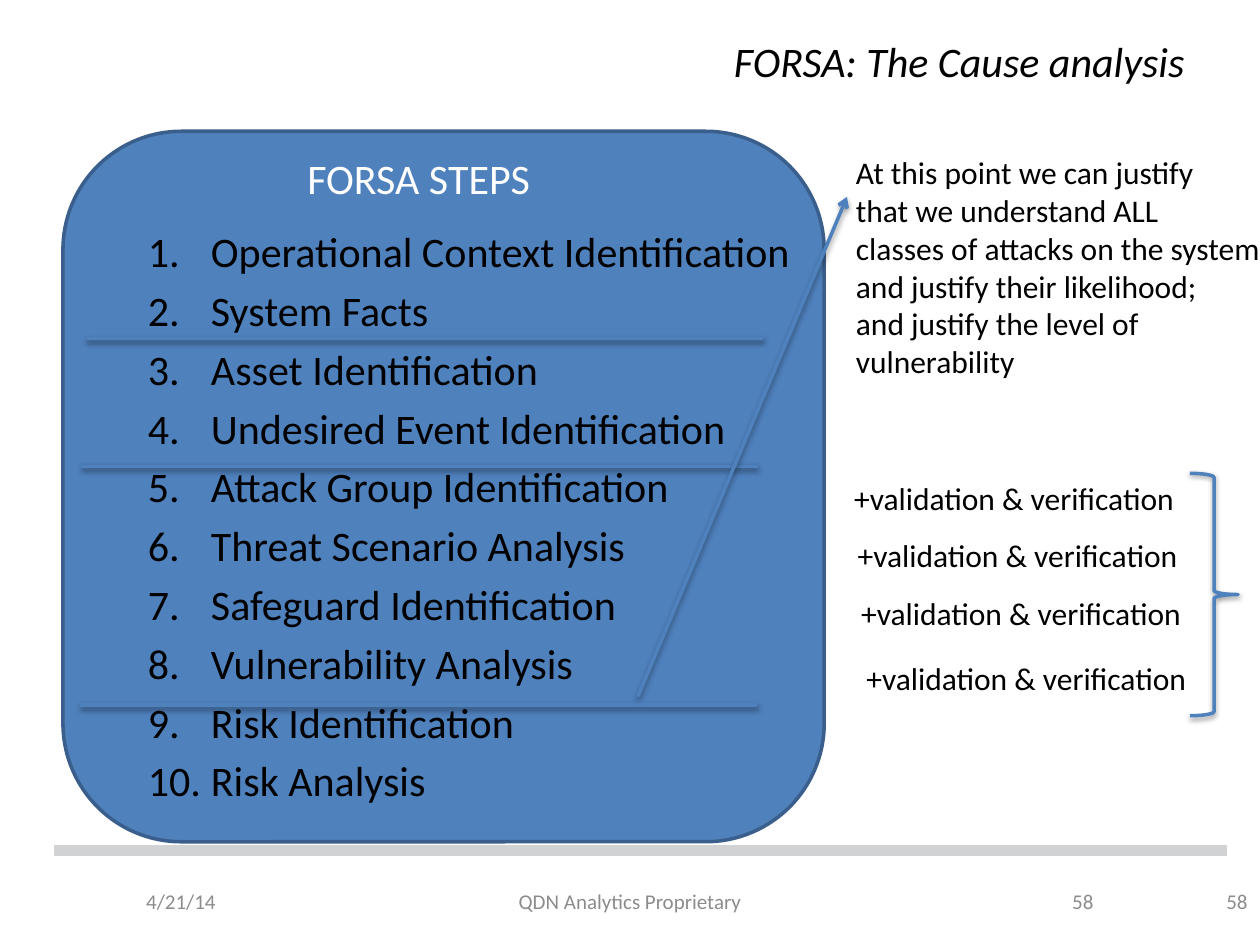
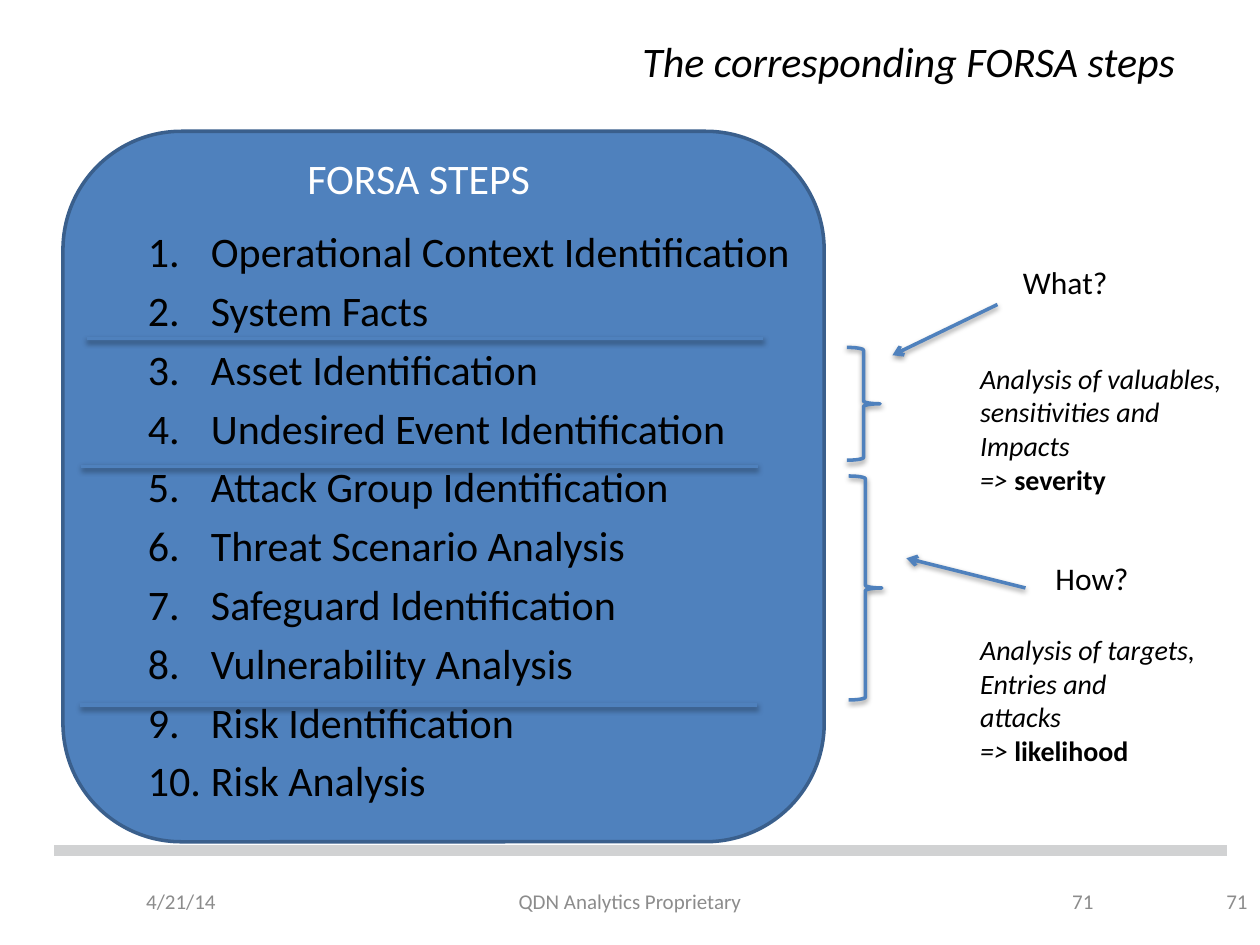
from dataclasses import dataclass

from lxml.etree import SubElement
from pptx import Presentation
from pptx.dml.color import RGBColor
from pptx.enum.shapes import MSO_CONNECTOR, MSO_SHAPE
from pptx.enum.text import MSO_ANCHOR, MSO_AUTO_SIZE, PP_ALIGN
from pptx.oxml.ns import qn
from pptx.util import Pt


@dataclass(frozen=True)
class Theme:
    font: str = "Calibri"
    black: str = "000000"
    white: str = "FFFFFF"
    blue: str = "4F81BD"
    dark_blue: str = "3A5F8C"
    grey: str = "8C8C8C"
    band: str = "D1D2D3"
    heading_size: int = 24
    label_size: int = 18
    detail_size: int = 16
    footer_size: int = 12
    stroke: int = 2
    band_stroke: int = 6


THEME = Theme()
STEPS = [
    "Operational Context Identification",
    "System Facts",
    "Asset Identification",
    "Undesired Event Identification",
    "Attack Group Identification",
    "Threat Scenario Analysis",
    "Safeguard Identification",
    "Vulnerability Analysis",
    "Risk Identification",
    "Risk Analysis",
]
STEP_GAP = 4.8
PHASE_DIVIDERS = [(49.5, 193.5), (46.5, 266.5), (46, 403)]
DIVIDER_LENGTH = 386.5
JUSTIFICATION = [
    "At this point we can justify",
    "that we understand ALL",
    "classes of attacks on the system",
    "and justify their likelihood;",
    "and justify the level of",
    "vulnerability",
]
VALIDATION_PLACES = [(481, 270), (483, 303), (485, 336), (488, 373)]


def points(values):
    return [Pt(value) for value in values]


def color(code):
    return RGBColor.from_string(code)


def number_paragraph(paragraph):
    paragraph.space_before = Pt(STEP_GAP)
    properties = paragraph._p.get_or_add_pPr()
    properties.set("marL", str(Pt(36)))
    properties.set("indent", str(Pt(-36)))
    SubElement(properties, qn("a:buFont"), typeface="+mj-lt")
    SubElement(properties, qn("a:buAutoNum"), type="arabicPeriod")


def format_run(run, size, ink, bold, italic):
    run.font.name = THEME.font
    run.font.size = Pt(size)
    run.font.color.rgb = color(ink)
    run.font.bold = bold
    run.font.italic = italic


def write(slide, text, box, size=THEME.label_size, ink=THEME.black, italic=False,
          align=PP_ALIGN.LEFT, anchor=MSO_ANCHOR.TOP, wrap=True, numbered=False,
          bold_ending=""):
    frame = slide.shapes.add_textbox(*points(box)).text_frame
    frame.word_wrap = wrap
    frame.auto_size = MSO_AUTO_SIZE.NONE if wrap else MSO_AUTO_SIZE.SHAPE_TO_FIT_TEXT
    frame.vertical_anchor = anchor
    lines = [text] if isinstance(text, str) else text
    for index, line in enumerate(lines):
        paragraph = frame.add_paragraph() if index else frame.paragraphs[0]
        paragraph.alignment = align
        if numbered:
            number_paragraph(paragraph)
        run = paragraph.add_run()
        run.text = line
        format_run(run, size, ink, False, italic)
    if bold_ending:
        ending = paragraph.add_run()
        ending.text = bold_ending
        format_run(ending, size, ink, True, False)


def set_shadow(properties, visible):
    effects = SubElement(properties, qn("a:effectLst"))
    if visible:
        shadow = SubElement(effects, qn("a:outerShdw"), blurRad=str(Pt(3.1)),
                            dist=str(Pt(1.6)), dir="5400000", rotWithShape="0")
        black = SubElement(shadow, qn("a:srgbClr"), val=THEME.black)
        SubElement(black, qn("a:alpha"), val="38000")


def draw_line(slide, start, end, ink=THEME.blue, width=THEME.stroke,
              arrow=False, shadow=True):
    line = slide.shapes.add_connector(MSO_CONNECTOR.STRAIGHT, *points(start + end))
    line.line.color.rgb = color(ink)
    line.line.width = Pt(width)
    properties = line._element.spPr
    if arrow:
        SubElement(properties.find(qn("a:ln")), qn("a:tailEnd"), type="arrow")
    set_shadow(properties, shadow)


def draw_shape(slide, kind, box, outline, fill=None, shadow=False):
    shape = slide.shapes.add_shape(kind, *points(box))
    if fill:
        shape.fill.solid()
        shape.fill.fore_color.rgb = color(fill)
    else:
        shape.fill.background()
    shape.line.color.rgb = color(outline)
    shape.line.width = Pt(THEME.stroke)
    set_shadow(shape._element.spPr, shadow)


def draw_brace(slide, box):
    draw_shape(slide, MSO_SHAPE.RIGHT_BRACE, box, THEME.blue, shadow=True)


def add_footer(slide, number):
    draw_line(slide, (31, 486), (701, 486), THEME.band, THEME.band_stroke, shadow=False)
    entries = [
        ("4/21/14", 76.5, 127.5, PP_ALIGN.LEFT),
        ("QDN Analytics Proprietary", 246, 228, PP_ALIGN.CENTER),
        (number, 516, 116, PP_ALIGN.RIGHT),
        (number, 604, 116, PP_ALIGN.RIGHT),
    ]
    for text, left, width, align in entries:
        write(slide, text, (left, 500.5, width, 29), size=THEME.footer_size,
              ink=THEME.grey, align=align, anchor=MSO_ANCHOR.MIDDLE)


def add_steps_panel(slide):
    draw_shape(slide, MSO_SHAPE.ROUNDED_RECTANGLE, (36, 75, 435, 406),
               THEME.dark_blue, fill=THEME.blue)
    write(slide, "FORSA STEPS", (168.5, 83.5, 170, 36),
          size=THEME.heading_size, ink=THEME.white)
    write(slide, STEPS, (77.5, 125.5, 395.5, 352),
          size=THEME.heading_size, numbered=True)
    for left, top in PHASE_DIVIDERS:
        draw_line(slide, (left, top), (left + DIVIDER_LENGTH, top))


def add_steps_slide(deck, title, number):
    slide = deck.slides.add_slide(deck.slide_layouts[6])
    add_footer(slide, number)
    write(slide, title, (36, 14.5, 648, 40), size=THEME.heading_size, italic=True,
          align=PP_ALIGN.RIGHT, anchor=MSO_ANCHOR.MIDDLE)
    add_steps_panel(slide)
    return slide


def add_question(slide, question, question_box, arrow, brace, analysis, analysis_box,
                 outcome):
    write(slide, question, question_box, wrap=False)
    draw_line(slide, *arrow, arrow=True)
    draw_brace(slide, brace)
    write(slide, analysis + ["=> "], analysis_box, size=THEME.detail_size,
          italic=True, wrap=False, bold_ending=outcome)


def build_cause_analysis(deck):
    slide = add_steps_slide(deck, "FORSA: The Cause analysis", "58")
    write(slide, JUSTIFICATION, (482, 84, 247.5, 138), wrap=False)
    for left, top in VALIDATION_PLACES:
        write(slide, "+validation & verification", (left, top, 199.5, 29), wrap=False)
    draw_brace(slide, (680, 270.5, 27.5, 138.5))
    draw_line(slide, (364.5, 398), (484, 112.5), arrow=True)


def build_corresponding_steps(deck):
    slide = add_steps_slide(deck, "The corresponding FORSA steps ", "71")
    add_question(slide, "What?", (577.5, 147, 63.5, 29),
                 ((570, 174), (510, 203)), (484, 198.5, 19, 64.5),
                 ["Analysis of valuables,", "sensitivities and", "Impacts"],
                 (553, 203, 157.5, 85), "severity")
    add_question(slide, "How?", (596, 316, 57, 29),
                 ((586, 336), (518, 319)), (485, 272, 19, 128),
                 ["Analysis of targets,", "Entries and", "attacks"],
                 (553, 358, 142.5, 87), "likelihood")


def main():
    deck = Presentation()
    deck.slide_width, deck.slide_height = Pt(720), Pt(540)
    build_cause_analysis(deck)
    build_corresponding_steps(deck)
    deck.save("out.pptx")


if __name__ == "__main__":
    main()
